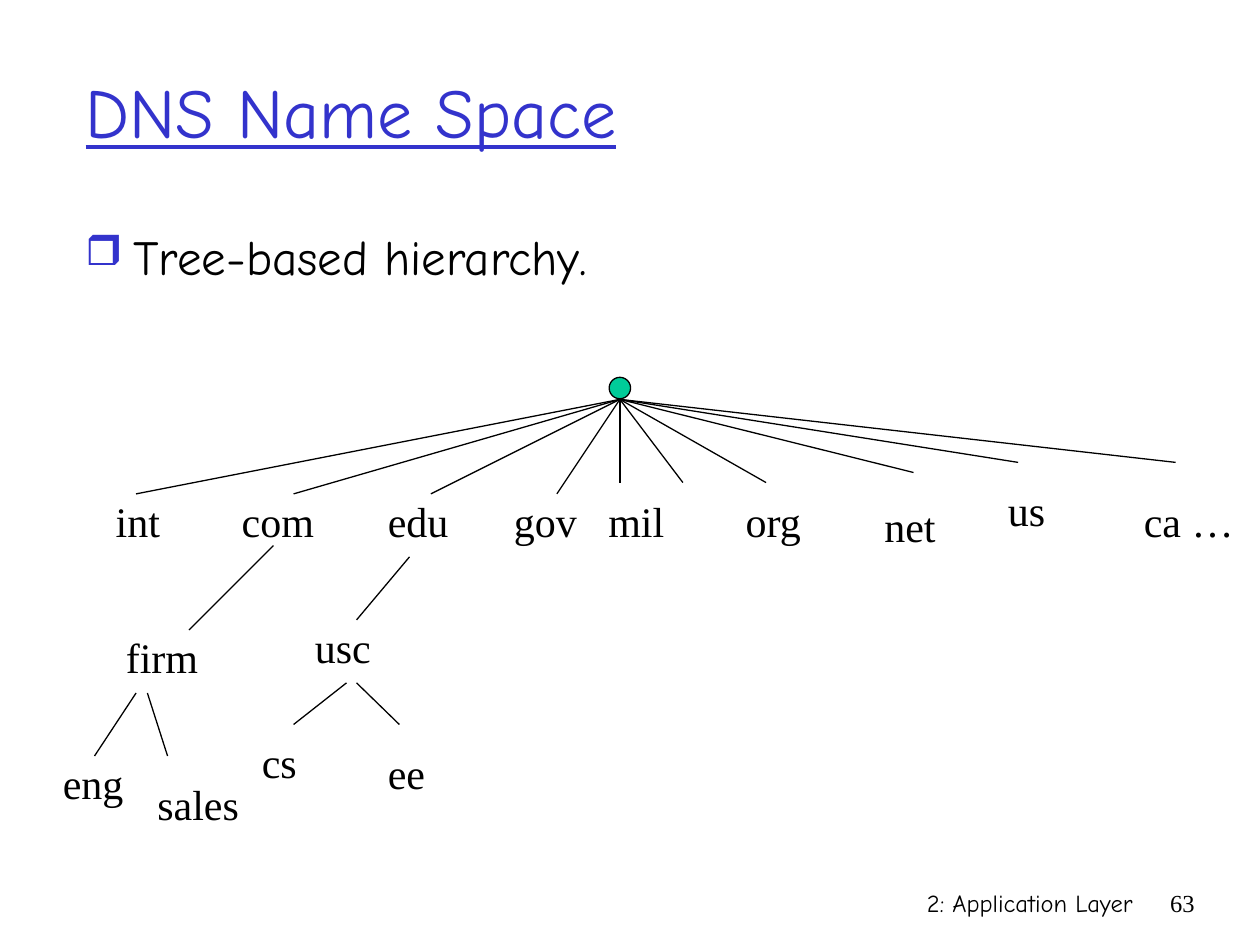
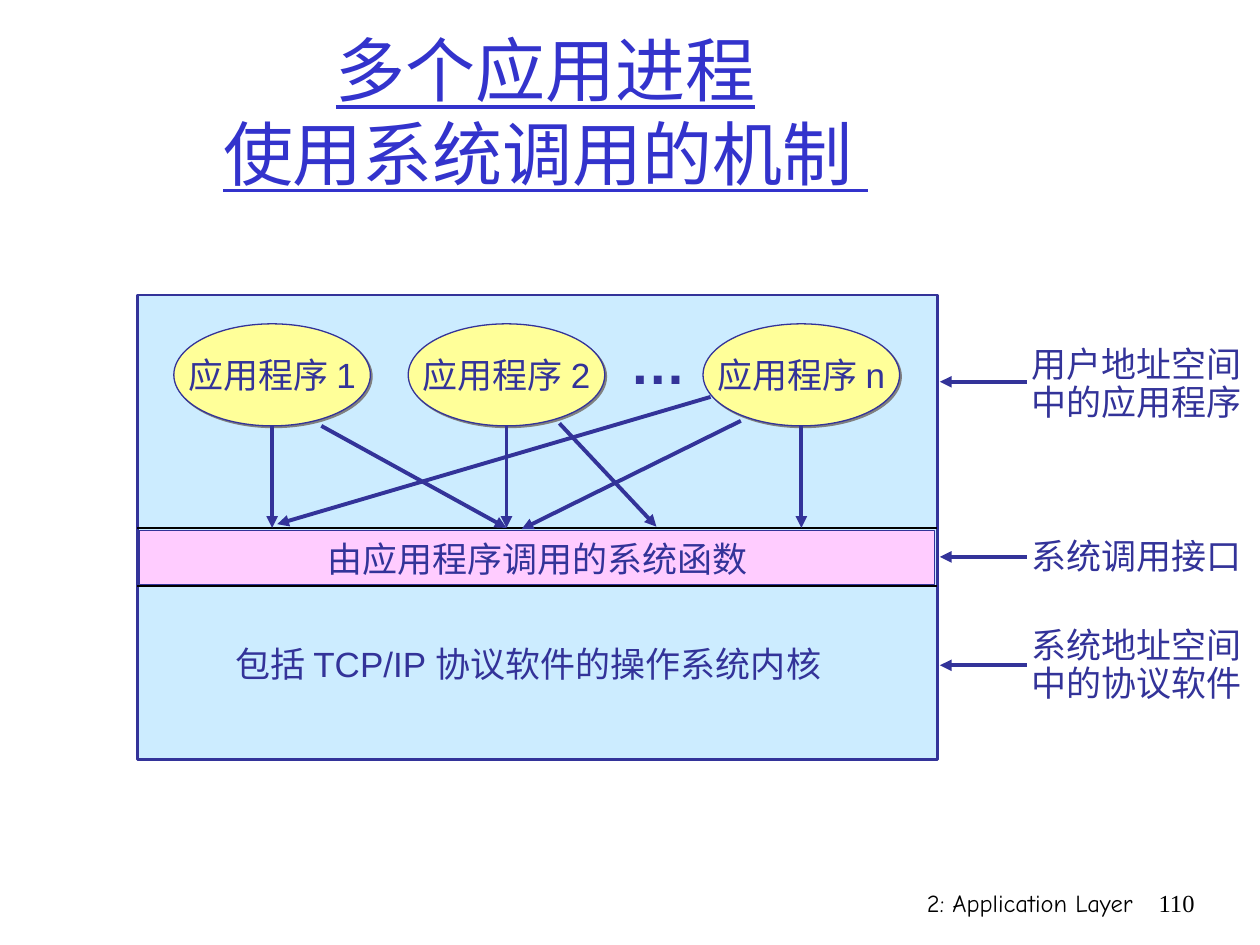
from lxml import etree
from pptx import Presentation
from pptx.dml.color import RGBColor
from pptx.enum import shapes, text
from pptx.oxml.ns import qn
from pptx.util import Inches, Pt

BLACK = RGBColor(0x00, 0x00, 0x00)
TITLE_BLUE = RGBColor(0x33, 0x33, 0xCC)
INK = RGBColor(0x33, 0x33, 0x99)
ROOT_GREEN = RGBColor(0x00, 0xCC, 0x99)
SPACE_BLUE = RGBColor(0xCC, 0xEC, 0xFF)
APP_YELLOW = RGBColor(0xFF, 0xFF, 0x99)
CALL_PINK = RGBColor(0xFF, 0xCC, 0xFF)
SHADOW_GREY = "808080"

HAND, SERIF, SANS = "Comic Neue", "Times New Roman", "Arial"
LEFT, CENTER, RIGHT = (text.PP_ALIGN.LEFT, text.PP_ALIGN.CENTER,
                       text.PP_ALIGN.RIGHT)
FOOTER = "2: Application Layer"

# Domain name, left, top, width
DOMAINS = [
    ("int", 0.82, 3.88, 0.55), ("com", 1.82, 3.88, 0.77),
    ("edu", 2.98, 3.88, 0.68), ("gov", 3.98, 3.88, 0.7),
    ("mil", 4.73, 3.88, 0.64), ("org", 5.82, 3.88, 0.64),
    ("net", 6.92, 3.92, 0.6), ("us", 7.9, 3.8, 0.49),
    ("ca …", 8.98, 3.88, 0.91),
    ("usc", 2.4, 4.88, 0.64), ("cs", 1.98, 5.8, 0.48),
    ("ee", 2.98, 5.88, 0.49), ("firm", 0.9, 4.96, 0.72),
    ("eng", 0.4, 5.96, 0.68), ("sales", 1.15, 6.13, 0.85),
]
ROOT_CENTER, ROOT_SIZE = (4.92, 3.08), 0.17
ROOT_FOOT = (4.92, 3.17)
TOP_LEVEL_ENDS = [
    (1.08, 3.92), (2.33, 3.92), (3.42, 3.92), (4.42, 3.92), (4.92, 3.83),
    (5.42, 3.83), (6.08, 3.83), (7.25, 3.75), (8.08, 3.67), (9.33, 3.67),
]
LOWER_BRANCHES = [
    ((3.25, 4.42), (2.83, 4.92)), ((2.75, 5.42), (2.33, 5.75)),
    ((2.83, 5.42), (3.17, 5.75)), ((2.17, 4.33), (1.5, 5)),
    ((1.08, 5.5), (0.75, 6)), ((1.17, 5.5), (1.33, 6)),
]

APPS = [("应用程序 1", 1.38), ("应用程序 2", 3.24), ("应用程序 n", 5.58)]
APP_TOP, APP_WIDTH, APP_HEIGHT = 2.57, 1.56, 0.81
MEMORY = (1.09, 2.34, 6.35, 3.69)
CALL_BAND = (1.11, 4.21, 6.31, 0.43)
BAND_EDGES = (4.19, 4.65)
CROSS_CALLS = [
    ((2.55, 3.38), (4.02, 4.19)), ((5.88, 3.34), (4.14, 4.2)),
    ((5.64, 3.15), (2.2, 4.16)), ((4.44, 3.36), (5.21, 4.18)),
]
DIAGRAM_TEXTS = [
    ("由应用程序调用的系统函数", (2.5, 4.22, 3.54, 0.44)),
    ("包括 TCP/IP 协议软件的操作系统内核", (1.77, 5.05, 5.06, 0.44)),
]
# Lines of the side label, its top, its height, height of its arrow
SIDE_LABELS = [
    ("用户地址空间\n中的应用程序", 2.71, 0.7, 3.03),
    ("系统调用接口", 4.19, 0.44, 4.42),
    ("系统地址空间\n中的协议软件", 4.94, 0.7, 5.28),
]


def place(shape, area):
    shape.left, shape.top, shape.width, shape.height = map(Inches, area)


def write(shape, words, size, font, color, align=LEFT, wrap=False,
          bold=False, underline=False):
    frame = shape.text_frame
    frame.text = words
    frame.word_wrap = wrap
    frame.auto_size = text.MSO_AUTO_SIZE.NONE
    for para in frame.paragraphs:
        para.alignment = align
        for span in para.runs:
            span.font.size = Pt(size)
            span.font.name = font
            span.font.color.rgb = color
            span.font.bold = bold
            span.font.underline = underline


def add_text(page, words, area, *style, **options):
    box = page.shapes.add_textbox(*map(Inches, area))
    write(box, words, *style, **options)
    return box


def add_block(page, kind, area, fill, line, width=0.75):
    block = page.shapes.add_shape(kind, *map(Inches, area))
    block.shadow.inherit = False
    block.fill.solid()
    block.fill.fore_color.rgb = fill
    block.line.color.rgb = line
    block.line.width = Pt(width)
    return block


def add_line(page, start, end, color=BLACK, width=0.75, arrow=False):
    line = page.shapes.add_connector(
        shapes.MSO_CONNECTOR.STRAIGHT, *map(Inches, start + end))
    line.line.color.rgb = color
    line.line.width = Pt(width)
    if arrow:
        etree.SubElement(line.line._get_or_add_ln(), qn("a:tailEnd"),
                         type="triangle")
    etree.SubElement(line._element.spPr, qn("a:effectLst"))


def add_arrow(page, start, end):
    add_line(page, start, end, INK, 2.25, arrow=True)


def cast_shadow(shape):
    effects = shape._element.spPr.find(qn("a:effectLst"))
    shadow = etree.SubElement(effects, qn("a:outerShdw"), dist=str(Pt(1.4)),
                              dir=str(45 * 60000), algn="ctr",
                              rotWithShape="0")
    etree.SubElement(shadow, qn("a:srgbClr"), val=SHADOW_GREY)


def add_bullet(para, mark, color, percent, indent):
    props = para._p.get_or_add_pPr()
    props.set("marL", str(Inches(indent)))
    props.set("indent", str(-Inches(indent)))
    tint = etree.SubElement(props, qn("a:buClr"))
    etree.SubElement(tint, qn("a:srgbClr"), val=str(color))
    etree.SubElement(props, qn("a:buSzPct"), val=str(percent * 1000))
    etree.SubElement(props, qn("a:buChar"), char=mark)


def add_page(deck, title, title_width, align, number):
    page = deck.slides.add_slide(deck.slide_layouts[5])
    heading = page.shapes.title
    place(heading, (0.58, 0.25, title_width, 1.25))
    write(heading, title, 40, HAND, TITLE_BLUE, align, wrap=True,
          underline=True)
    heading.text_frame.vertical_anchor = text.MSO_ANCHOR.MIDDLE
    add_text(page, FOOTER, (5.92, 7, 3.17, 0.5), 14, HAND, BLACK, RIGHT,
             wrap=True)
    add_text(page, number, (9.08, 7, 0.5, 0.5), 14, SERIF, BLACK, RIGHT,
             wrap=True)
    return page


def build_name_space(deck):
    page = add_page(deck, "DNS Name Space", 8.5, LEFT, "63")
    body = add_text(page, "Tree-based hierarchy.", (0.58, 1.75, 8.5, 5.08),
                    28, HAND, BLACK, wrap=True)
    add_bullet(body.text_frame.paragraphs[0], "❒", TITLE_BLUE, 85, 0.38)

    corner = [middle - ROOT_SIZE / 2 for middle in ROOT_CENTER]
    add_block(page, shapes.MSO_SHAPE.OVAL, (*corner, ROOT_SIZE, ROOT_SIZE),
              ROOT_GREEN, BLACK)
    for end in TOP_LEVEL_ENDS:
        add_line(page, ROOT_FOOT, end)
    for start, end in LOWER_BRANCHES:
        add_line(page, start, end)
    for name, left, top, width in DOMAINS:
        add_text(page, name, (left, top, width, 0.5), 24, SERIF, BLACK)


def build_system_calls(deck):
    page = add_page(deck, "多个应用进程\v使用系统调用的机制 ", 7.5, CENTER, "110")
    add_block(page, shapes.MSO_SHAPE.RECTANGLE, MEMORY, SPACE_BLUE, INK, 1.5)
    for name, left in APPS:
        app = add_block(page, shapes.MSO_SHAPE.OVAL,
                        (left, APP_TOP, APP_WIDTH, APP_HEIGHT),
                        APP_YELLOW, INK)
        cast_shadow(app)
        write(app, name, 20, SANS, INK, CENTER)
        app.text_frame.vertical_anchor = text.MSO_ANCHOR.MIDDLE
    add_text(page, "…", (4.9, 2.56, 0.64, 0.64), 32, SANS, INK, bold=True)

    add_block(page, shapes.MSO_SHAPE.RECTANGLE, CALL_BAND, CALL_PINK, INK)
    for edge in BAND_EDGES:
        add_line(page, (MEMORY[0], edge), (MEMORY[0] + MEMORY[2], edge))
    for words, area in DIAGRAM_TEXTS:
        add_text(page, words, area, 20, SANS, INK)

    for _, left in APPS:
        middle = left + APP_WIDTH / 2
        add_arrow(page, (middle, APP_TOP + APP_HEIGHT),
                  (middle, BAND_EDGES[0]))
    for start, end in CROSS_CALLS:
        add_arrow(page, start, end)

    for words, top, height, level in SIDE_LABELS:
        label = add_text(page, words, (8.09, top, 1.87, height), 20, SANS, INK)
        if "\n" in words:
            for para in label.text_frame.paragraphs:
                para.line_spacing = 0.9
        add_arrow(page, (8.15, level), (7.46, level))


def main():
    deck = Presentation()
    deck.slide_width, deck.slide_height = Inches(10), Inches(7.5)
    build_name_space(deck)
    build_system_calls(deck)
    deck.save("out.pptx")


if __name__ == "__main__":
    main()
